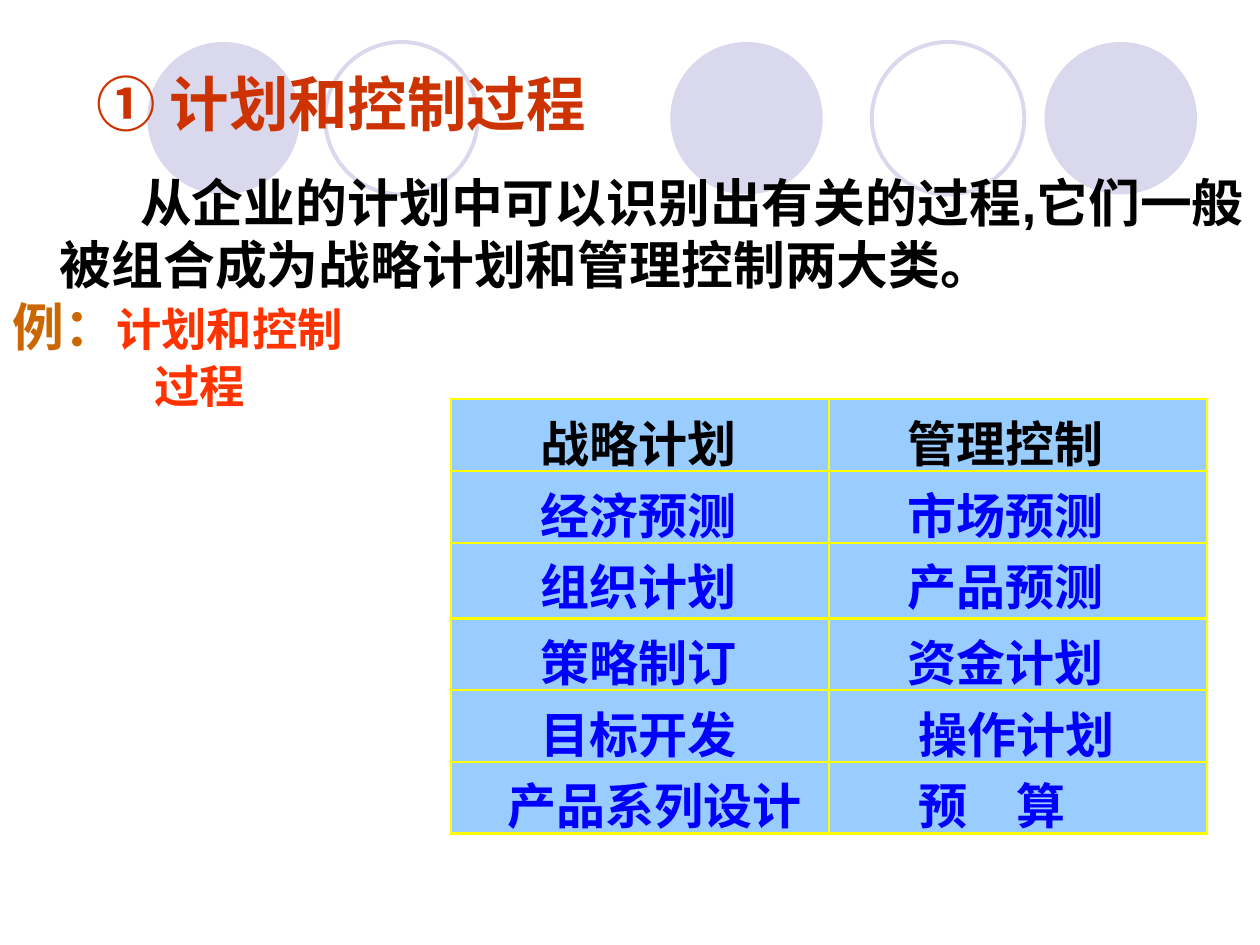
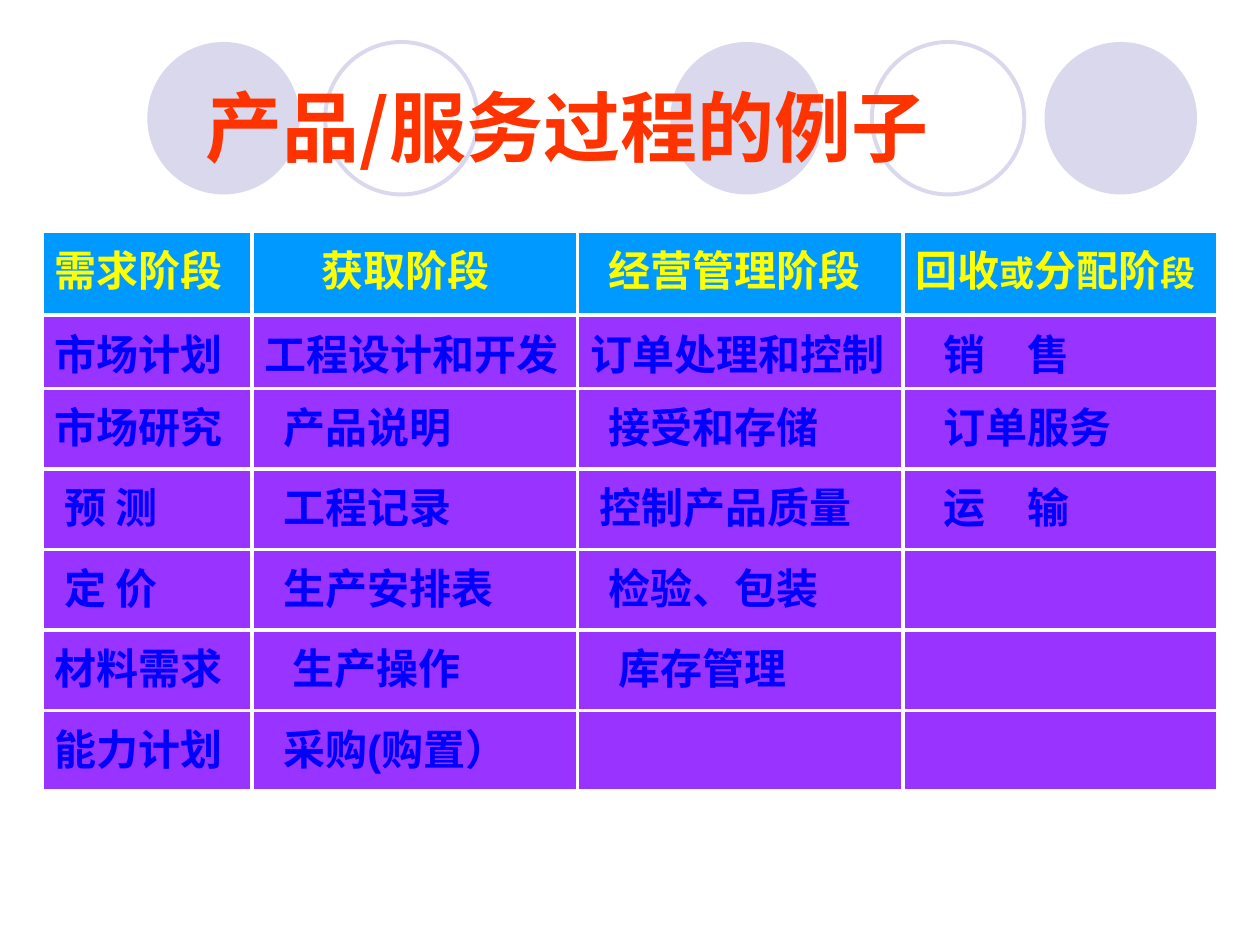
from lxml import etree
from pptx import Presentation
from pptx.dml.color import RGBColor
from pptx.enum.shapes import MSO_SHAPE
from pptx.enum.text import MSO_ANCHOR, PP_ALIGN
from pptx.oxml.ns import qn
from pptx.util import Pt

OVAL = MSO_SHAPE.OVAL
MIDDLE = MSO_ANCHOR.MIDDLE
CENTER = PP_ALIGN.CENTER
LATIN, HAN = "Arial", "Noto Sans CJK SC"
SPACE_EM = 0.225  # one indent step, as a share of the font size

COLORS = {
    "circle": "D9D8EC", "title": "CC3300", "accent": "FF3300",
    "example": "CC6600", "black": "000000", "blue": "0000FF",
    "yellow": "FFFF00", "white": "FFFFFF", "pale_blue": "99CCFF",
    "sky": "0099FF", "purple": "9933FF",
}
RGB = {name: RGBColor.from_string(value) for name, value in COLORS.items()}


def add_run(paragraph, text, size, color, latin=LATIN):
    run = paragraph.add_run()
    run.text = text
    run.font.size = Pt(size)
    run.font.bold = True
    run.font.name = latin
    run.font.color.rgb = RGB[color]
    properties = run.font._element
    etree.SubElement(properties, qn("a:ea")).set("typeface", HAN)


def add_grid(slide, left, top, columns, heights, rows, size, small, before,
             head_fill, head_color, body_fill, border, border_width):
    """Cells are (indent steps, text); "|" switches between size and small."""
    grid = slide.shapes.add_table(len(rows), len(columns), Pt(left), Pt(top),
                                  Pt(sum(columns)), Pt(sum(heights))).table
    grid.first_row = grid.horz_banding = False
    for column, width in zip(grid.columns, columns):
        column.width = Pt(width)
    for r, (row, height) in enumerate(zip(rows, heights)):
        grid.rows[r].height = Pt(height)
        for c, (steps, text) in enumerate(row):
            cell = grid.cell(r, c)
            cell.fill.solid()
            cell.fill.fore_color.rgb = RGB[body_fill if r else head_fill]
            properties = cell._tc.get_or_add_tcPr()
            for position, side in enumerate(("lnL", "lnR", "lnT", "lnB")):
                line = etree.Element(qn(f"a:{side}"), w=str(Pt(border_width)))
                paint = etree.SubElement(line, qn("a:solidFill"))
                etree.SubElement(paint, qn("a:srgbClr"), val=COLORS[border])
                properties.insert(position, line)
            paragraph = cell.text_frame.paragraphs[0]
            paragraph.space_before = Pt(before)
            indent = Pt(round(steps * SPACE_EM * size, 2))
            paragraph._p.get_or_add_pPr().set("marL", str(indent))
            if text:
                for part, piece in enumerate(text.split("|")):
                    add_run(paragraph, piece, small if part % 2 else size,
                            "blue" if r else head_color)


deck = Presentation()
deck.slide_width, deck.slide_height = Pt(720), Pt(540)

# Shared band of circles, then each slide's title
titles = [
    ("① 计划和控制过程", 34, "title", (48.2, 25.9, 635.8, 65.5), None),
    ("产品/服务过程的例子", 44, "accent", (0, 41.8, 648, 59.8), CENTER),
]
circles = [(383, True), (596.9, True), (84.2, True), (498.2, False), (185.8, False)]
slides = []
for title, size, color, frame, alignment in titles:
    slide = deck.slides.add_slide(deck.slide_layouts[6])
    slides.append(slide)
    for left, filled in circles:
        circle = slide.shapes.add_shape(OVAL, Pt(left), Pt(24), Pt(87.1), Pt(87.1))
        circle.shadow.inherit = False
        if filled:
            circle.fill.solid()
            circle.fill.fore_color.rgb = RGB["circle"]
            circle.line.fill.background()
        else:
            circle.fill.background()
            circle.line.color.rgb = RGB["circle"]
            circle.line.width = Pt(2.25)
    heading = slide.shapes.add_textbox(*map(Pt, frame)).text_frame
    heading.word_wrap = True
    heading.vertical_anchor = MIDDLE
    heading.paragraphs[0].alignment = alignment
    add_run(heading.paragraphs[0], title, size, color, HAN)
planning, product = slides

# Planning and control: explanation. Each paragraph: margin, first-line
# indent, line pitch, space before, runs
explanation = [
    (27, 46, 35.4, 4.3, [("从企业的计划中可以识别出有关的过程,它们一般被组合成为"
                          "战略计划和管理控制两大类。", 29.6, "black")]),
    (27, -27, 35.4, 0, [("例：", 29.6, "example"), ("计划和控制", 25.9, "accent")]),
    (27, 54, 32, 0, [("过程", 25.9, "accent")]),
]
body = planning.shapes.add_textbox(Pt(0), Pt(94.3), Pt(720), Pt(175.7)).text_frame
body.word_wrap = True
for number, (margin, first, pitch, before, runs) in enumerate(explanation):
    paragraph = body.add_paragraph() if number else body.paragraphs[0]
    paragraph.line_spacing = Pt(pitch)
    paragraph.space_before = Pt(before)
    properties = paragraph._p.get_or_add_pPr()
    properties.set("marL", str(Pt(margin)))
    properties.set("indent", str(Pt(first)))
    for text, size, color in runs:
        add_run(paragraph, text, size, color)

planning_rows = [
    [(7, "战略计划"), (6, "管理控制")],
    [(7, "经济预测"), (6, "市场预测")],
    [(7, "组织计划"), (6, "产品预测")],
    [(7, "策略制订"), (6, "资金计划")],
    [(7, "目标开发"), (7, "操作计划")],
    [(4, "产品系列设计"), (7, "预　算")],
]
add_grid(planning, 257.8, 228.2, [216, 216], [41, 41, 43.2, 41, 41, 41],
         planning_rows, size=28, small=28, before=7, head_fill="pale_blue",
         head_color="black", body_fill="pale_blue", border="yellow", border_width=1.47)

# Product and service processes by stage
stage_rows = [
    [(0, "需求阶段"), (6, "获取阶段"), (2, "经营管理阶段"), (0, "回收|或|分配阶|段")],
    [(0, "市场计划"), (0, "工程设计和开发"), (0, "订单处理和控制"), (3, "销　售")],
    [(0, "市场研究"), (2, "产品说明"), (2, "接受和存储"), (3, "订单服务")],
    [(1, "预 测"), (2, "工程记录"), (1, "控制产品质量"), (3, "运　输")],
    [(1, "定 价"), (2, "生产安排表"), (2, "检验、包装"), (0, "")],
    [(0, "材料需求"), (3, "生产操作"), (3, "库存管理"), (0, "")],
    [(0, "能力计划"), (2, "采购(购置）"), (0, ""), (0, "")],
]
add_grid(product, 24, 132, [120, 186, 186, 180], [48, 42] + [46] * 5,
         stage_rows, size=24, small=20, before=6, head_fill="sky",
         head_color="yellow", body_fill="purple", border="white", border_width=2.21)

deck.save("out.pptx")
